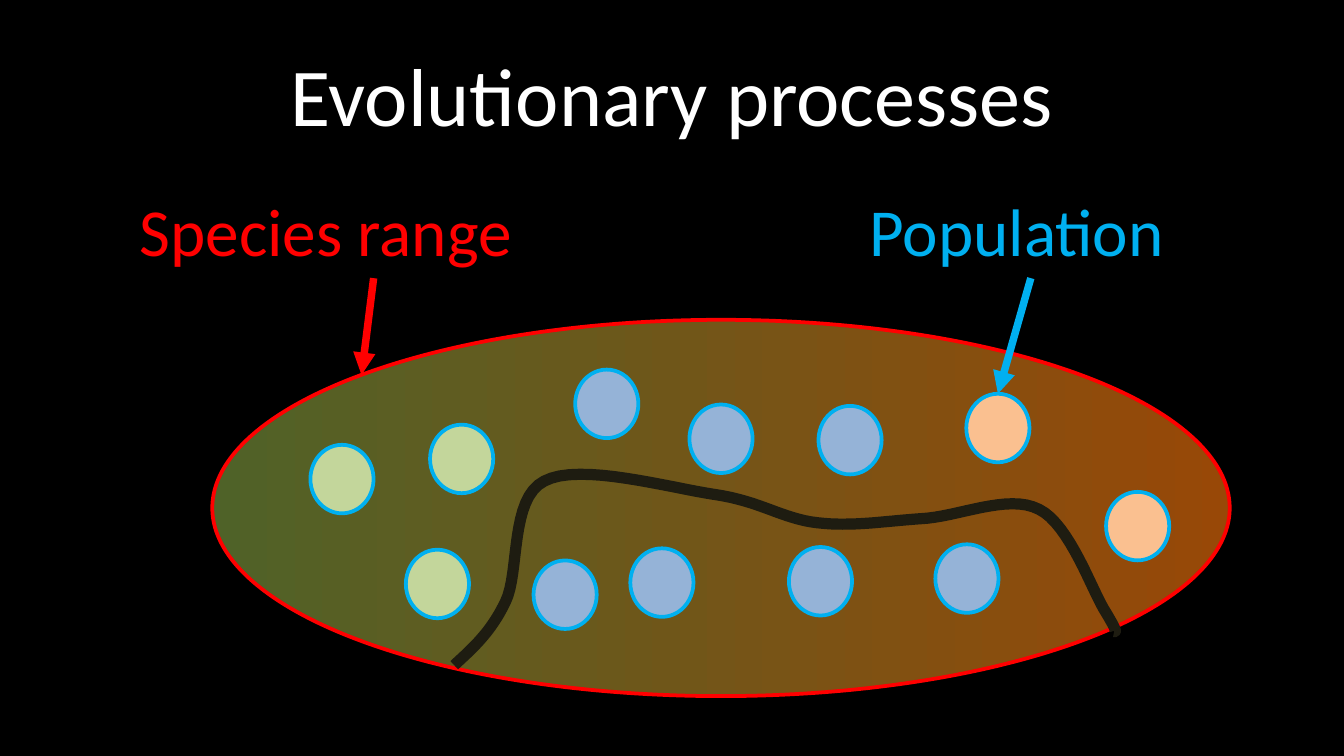
from lxml.etree import SubElement
from pptx import Presentation
from pptx.dml.color import RGBColor
from pptx.enum.shapes import MSO_CONNECTOR, MSO_SHAPE
from pptx.enum.text import MSO_ANCHOR, PP_ALIGN
from pptx.oxml.ns import qn
from pptx.util import Inches, Pt

COLORS = {
    "background": "000000",
    "title": "FFFFFF",
    "range": "FF0000",
    "population": "00B0F0",
    "west": "C3D69B",
    "centre": "95B3D7",
    "east": "FAC090",
    "range_west": "4F6228",
    "range_east": "984807",
    "barrier": "1E1C11",
}
CELLS_PER_INCH = 10
SLIDE_SIZE = (100, 56.25)
POPULATION_SIZE = (4.7, 5.1)
POPULATIONS = [
    ("west", 23.1, 33.1),
    ("centre", 46.9, 40.8),
    ("centre", 51.3, 30.1),
    ("centre", 58.7, 40.7),
    ("centre", 60.9, 30.2),
    ("east", 82.3, 36.6),
    ("west", 30.2, 40.9),
    ("west", 32, 31.6),
    ("centre", 42.8, 27.5),
    ("east", 71.9, 29.3),
]
SOUTHERN_POPULATIONS = [("centre", 39.7, 41.7), ("centre", 69.6, 40.5)]
BARRIER_START = (33.8, 49.5)
BARRIER_CURVES = [
    ((35.1, 48.3), (36.5, 47.1), (37.6, 44.8)),
    ((38.7, 42.6), (37.9, 37.1), (40.5, 35.8)),
    ((43.1, 34.4), (49.8, 36.3), (53.2, 36.8)),
    ((56.6, 37.3), (58.2, 38.6), (60.8, 38.9)),
    ((63.3, 39.2), (65.7, 38.8), (68.5, 38.6)),
    ((71.2, 38.5), (75, 36.7), (77.3, 37.9)),
    ((79.6, 39), (81.3, 44.1), (82.3, 45.6)),
    ((83.2, 47.1), (83, 47), (82.9, 47)),
]
CURVE_STEPS = 16


def grid(*cells):
    return [Inches(cell / CELLS_PER_INCH) for cell in cells]


def color(name):
    return RGBColor.from_string(COLORS[name])


def set_line(shape, name, width):
    shape.line.color.rgb = color(name)
    shape.line.width = Pt(width)


def add_label(shapes, text, name, size, area):
    box = shapes.add_textbox(*grid(*area))
    box.text_frame.word_wrap = True
    paragraph = box.text_frame.paragraphs[0]
    paragraph.text = text
    paragraph.font.name = "Calibri"
    paragraph.font.size = Pt(size)
    paragraph.font.color.rgb = color(name)
    return box


def add_title(shapes, text):
    box = add_label(shapes, text, "title", 44, (5, 2.3, 90, 9.4))
    box.text_frame.vertical_anchor = MSO_ANCHOR.MIDDLE
    box.text_frame.paragraphs[0].alignment = PP_ALIGN.CENTER


def add_ellipse(shapes, area, outline):
    ellipse = shapes.add_shape(MSO_SHAPE.OVAL, *grid(*area))
    ellipse.shadow.inherit = False
    set_line(ellipse, outline, 2)
    return ellipse


def add_range(shapes):
    ellipse = add_ellipse(shapes, (15.8, 23.8, 75.7, 28), "range")
    ellipse.fill.gradient()
    ellipse.fill.gradient_angle = 0
    for stop, name, position in zip(
        ellipse.fill.gradient_stops, ("range_west", "range_east"), (0, 1)
    ):
        stop.color.rgb = color(name)
        stop.position = position


def add_population(shapes, region, left, top):
    ellipse = add_ellipse(shapes, (left, top, *POPULATION_SIZE), "population")
    ellipse.fill.solid()
    ellipse.fill.fore_color.rgb = color(region)
    return ellipse


def add_arrow(shapes, label, end, name):
    start = (label.left + label.width // 2, label.top + label.height)
    arrow = shapes.add_connector(MSO_CONNECTOR.STRAIGHT, *start, *grid(*end))
    arrow.begin_connect(label, 2)
    set_line(arrow, name, 4)
    SubElement(arrow.line._get_or_add_ln(), qn("a:tailEnd"), type="triangle")
    SubElement(arrow._element.spPr, qn("a:effectLst"))
    return arrow


def curve_points(start, curves):
    points = []
    for first, second, end in curves:
        for step in range(1, CURVE_STEPS + 1):
            t = step / CURVE_STEPS
            u = 1 - t
            weights = (u**3, 3 * u * u * t, 3 * u * t * t, t**3)
            points.append(grid(*(
                sum(weight * value for weight, value in zip(weights, values))
                for values in zip(start, first, second, end)
            )))
        start = end
    return points


def add_barrier(shapes):
    builder = shapes.build_freeform(*grid(*BARRIER_START))
    builder.add_line_segments(curve_points(BARRIER_START, BARRIER_CURVES), close=False)
    barrier = builder.convert_to_shape()
    barrier.shadow.inherit = False
    barrier.fill.background()
    set_line(barrier, "barrier", 6)


def main():
    deck = Presentation()
    deck.slide_width, deck.slide_height = grid(*SLIDE_SIZE)
    page = deck.slides.add_slide(deck.slide_layouts[6])
    page.background.fill.solid()
    page.background.fill.fore_color.rgb = color("background")

    add_title(page.shapes, "Evolutionary processes")
    diagram = page.shapes.add_group_shape().shapes
    range_label = add_label(diagram, "Species range", "range", 36, (9.4, 13.6, 36.8, 7.1))
    add_range(diagram)
    for population in POPULATIONS:
        target = add_population(diagram, *population)
    add_arrow(diagram, range_label, (26.9, 27.9), "range")
    population_label = add_label(diagram, "Population", "population", 36, (63.7, 13.6, 26, 7.1))
    arrow = add_arrow(diagram, population_label, (74.2, 29.3), "population")
    arrow.end_connect(target, 0)

    for population in SOUTHERN_POPULATIONS:
        add_population(page.shapes, *population)
    add_barrier(page.shapes)
    deck.save("out.pptx")


if __name__ == "__main__":
    main()
